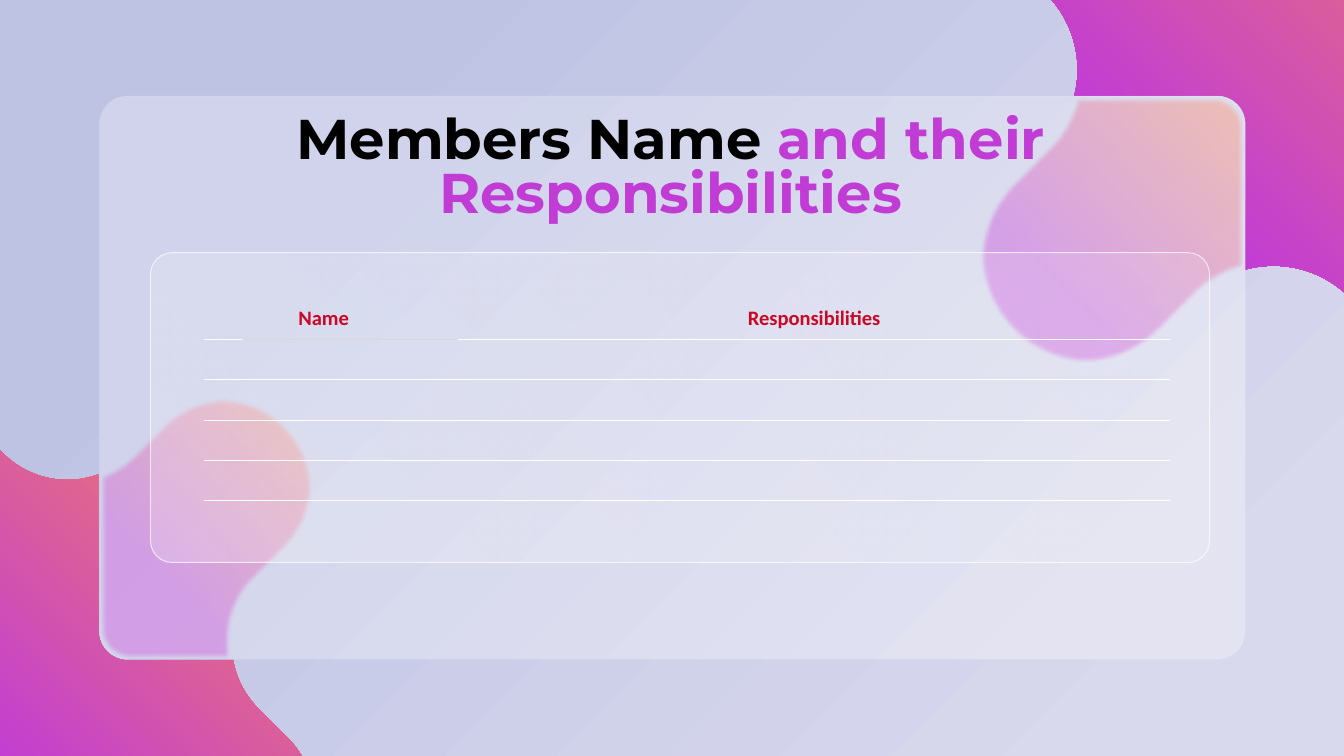
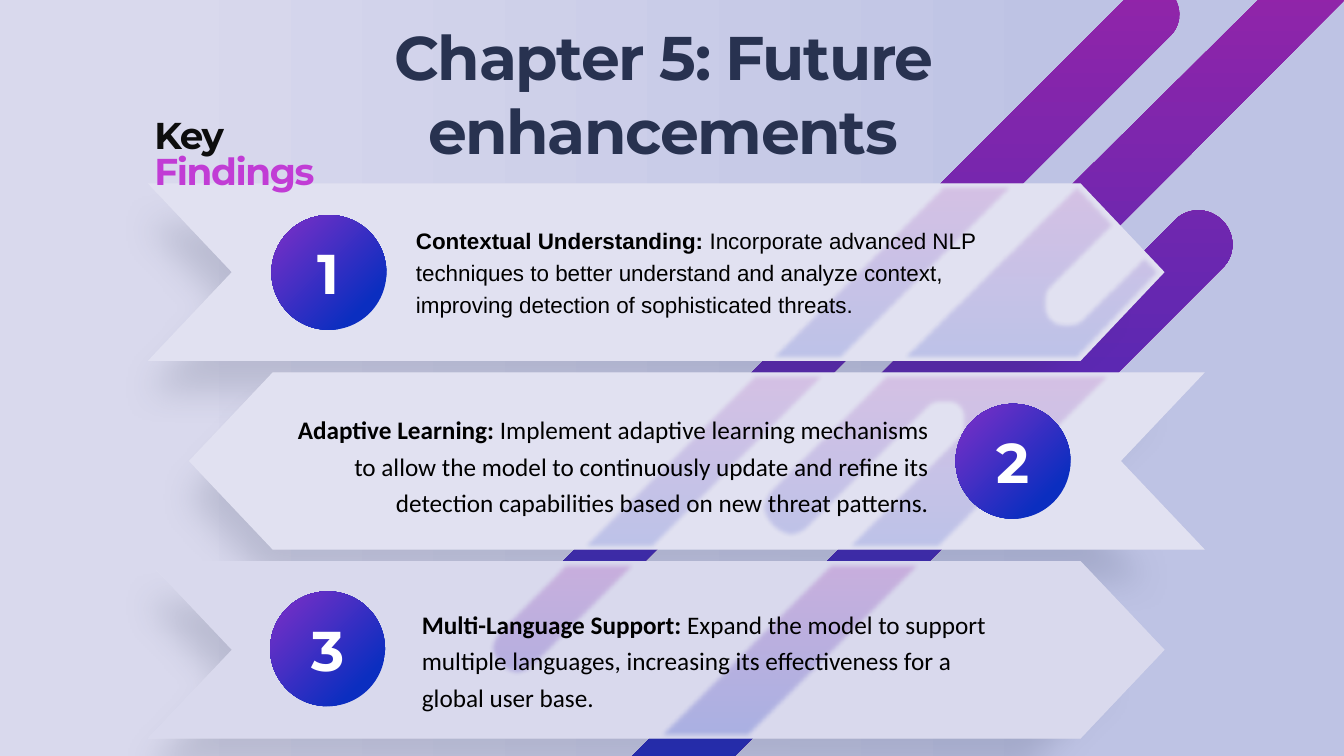
import pptx
import pptx.util
import pptx.enum.shapes
import pptx.enum.text
import pptx.oxml
import pptx.oxml.ns

qn = pptx.oxml.ns.qn
Pt = pptx.util.Pt
SHAPES = pptx.enum.shapes.MSO_SHAPE
ALIGN = pptx.enum.text.PP_ALIGN
MIDDLE = pptx.enum.text.MSO_ANCHOR.MIDDLE
NAMESPACE = pptx.oxml.ns.nsdecls("a")

presentation = pptx.Presentation()
presentation.slide_width = pptx.util.Inches(20)
presentation.slide_height = pptx.util.Inches(11.25)

# Grid: 20 columns by 11.25 rows of square cells
CELL = presentation.slide_width // 20

# Shared colours; gradients map a stop in percent to "hex" or "hex/opacity"
PALE, WHITE, BLACK, NAVY = "D9D9ED", "FFFFFF", "000000", "283250"
BACKDROP = {11: PALE, 80: "BEC3E4"}
BLOB = {30: "C13CD5", 100: "F98657"}
BLOB_GLASS = {30: "C13CD5/56", 100: "F98657/56"}
STRIPE = {0: "9724A8", 100: "0B2EC0"}
STRIPE_GLASS = {0: "9724A8/23", 100: "0B2EC0/23"}
BADGE = {11: "702FC6", 80: "0B2EC0"}
FROM_BOTTOM_LEFT, FROM_TOP_LEFT = (0, 100, 100, 0), (0, 0, 100, 100)

SOFT_EDGE = f'<a:softEdge rad="{Pt(5)}"/>'
BAND_SHADOW = (
    f'<a:outerShdw blurRad="{Pt(36)}" dist="{Pt(79)}" dir="{147 * 60000}" sx="94000" sy="94000" '
    f'algn="tr" rotWithShape="0"><a:srgbClr val="{NAVY}"><a:alpha val="17000"/></a:srgbClr></a:outerShdw>')


def paint(parent, colours, angle=0, focus=None):
    """Give a properties element a solid (string) or gradient (dict) fill."""
    for tag in ("a:solidFill", "a:gradFill", "a:noFill"):
        for old in parent.findall(qn(tag)):
            parent.remove(old)
    stops = {0: colours} if isinstance(colours, str) else colours
    marks = []
    for position, colour in stops.items():
        value, _, opacity = colour.partition("/")
        alpha = f'<a:alpha val="{int(opacity) * 1000}"/>' if opacity else ""
        marks.append((position, f'<a:srgbClr val="{value}">{alpha}</a:srgbClr>'))
    if isinstance(colours, str):
        fill = f"<a:solidFill {NAMESPACE}>{marks[0][1]}</a:solidFill>"
    else:
        listed = "".join(f'<a:gs pos="{position * 1000}">{mark}</a:gs>' for position, mark in marks)
        way = f'<a:lin ang="{angle * 60000}" scaled="0"/>'
        if focus:
            left, top, right, bottom = (share * 1000 for share in focus)
            way = (f'<a:path path="circle"><a:fillToRect l="{left}" t="{top}" '
                   f'r="{right}" b="{bottom}"/></a:path>')
        fill = f'<a:gradFill {NAMESPACE} rotWithShape="1"><a:gsLst>{listed}</a:gsLst>{way}</a:gradFill>'
    parent.insert(2 if parent.tag == qn("p:spPr") else 0, pptx.oxml.parse_xml(fill))


def draw_outline(slide, contours, colours, angle=0, focus=None, effect=""):
    """Draw closed contours; a step is a line end (2 numbers) or a curve (6)."""
    builder = slide.shapes.build_freeform(*(n * 1000 for n in contours[0][0]), scale=CELL / 1000)
    reached = []
    for index, contour in enumerate(contours):
        if index:
            builder.move_to(*(n * 1000 for n in contour[0]))
        builder.add_line_segments([(step[-2] * 1000, step[-1] * 1000) for step in contour[1:]], close=True)
        for before, step in zip(contour[:1] + contour, contour):
            reached.append(step[-2:])
            if len(step) == 6:
                reached.append(tuple((before[axis - 2] + 3 * step[axis] + 3 * step[axis + 2] + step[axis + 4]) / 8
                                     for axis in (0, 1)))
    shape = builder.convert_to_shape()

    # Fit the frame to the curves and bend the segments that are curves
    left, top = (min(point[axis] for point in reached) for axis in (0, 1))
    width, height = (max(point[axis] for point in reached) - low for axis, low in ((0, left), (1, top)))
    shape.left, shape.top, shape.width, shape.height = (int(n * CELL) for n in (left, top, width, height))
    outline = shape.element.find(".//" + qn("a:path"))
    outline.set("w", str(round(width * 1000)))
    outline.set("h", str(round(height * 1000)))
    for old in list(outline):
        outline.remove(old)
    for contour in contours:
        for index, step in enumerate(contour):
            tag = "moveTo" if index == 0 else "lnTo" if len(step) == 2 else "cubicBezTo"
            points = "".join(f'<a:pt x="{round((x - left) * 1000)}" y="{round((y - top) * 1000)}"/>'
                             for x, y in zip(step[::2], step[1::2]))
            outline.append(pptx.oxml.parse_xml(f"<a:{tag} {NAMESPACE}>{points}</a:{tag}>"))
        outline.append(pptx.oxml.parse_xml(f"<a:close {NAMESPACE}/>"))
    shape.line.fill.background()
    paint(shape.element.spPr, colours, angle, focus)
    shape.element.spPr.append(pptx.oxml.parse_xml(f"<a:effectLst {NAMESPACE}>{effect}</a:effectLst>"))
    return shape


# Slides and their backgrounds
blank = presentation.slide_layouts[6]
members, findings = (presentation.slides.add_slide(blank) for _ in range(2))
for slide, angle in ((members, 225), (findings, 0)):
    slide.background.fill.solid()
    paint(slide.element.find(".//" + qn("p:bgPr")), BACKDROP, angle)

# Members: corner blobs, one quarter turned four times
quarter = [(-1.13, -3.38), (-0.5, -2.76, 0.5, -2.76, 1.13, -3.38), (1.66, -3.91),
           (2.28, -4.53, 3.28, -4.53, 3.91, -3.91), (4.53, -3.28, 4.53, -2.28, 3.91, -1.66)]
for center_x, center_y, scale in ((18.95, 1.04, 1), (1, 9.59, 0.84)):
    contour = []
    for turn in range(4):
        for step in quarter:
            pairs = list(zip(step[::2], step[1::2]))
            for _ in range(turn):
                pairs = [(-y, x) for x, y in pairs]
            contour.append(tuple(n for x, y in pairs for n in (center_x + x * scale, center_y + y * scale)))
    draw_outline(members, [contour], BLOB, focus=FROM_BOTTOM_LEFT)

# Members: frosted card with the blobs behind it, then the table panel
panes = [
    [(3.33, 5.91), (3.67, 5.91, 4.02, 6.04, 4.28, 6.3), (4.8, 6.82, 4.8, 7.67, 4.28, 8.19),
     (3.83, 8.64), (3.57, 8.9, 3.44, 9.24, 3.44, 9.58), (3.46, 9.82), (1.89, 9.82),
     (1.66, 9.82, 1.48, 9.63, 1.48, 9.41), (1.48, 7.05), (1.5, 7.04),
     (1.66, 6.97, 1.81, 6.88, 1.94, 6.75), (2.39, 6.3), (2.65, 6.04, 2.99, 5.91, 3.33, 5.91)],
    [(15.99, 1.43), (18.11, 1.43), (18.34, 1.43, 18.52, 1.62, 18.52, 1.84), (18.52, 4),
     (18.49, 4.01), (18.25, 4.08, 18.01, 4.22, 17.82, 4.41), (17.29, 4.94),
     (16.67, 5.57, 15.66, 5.57, 15.04, 4.94), (14.42, 4.32, 14.42, 3.32, 15.04, 2.69),
     (15.57, 2.16), (15.76, 1.97, 15.9, 1.74, 15.97, 1.49)],
]
card_box, panel_box = (1.48, 1.43, 17.05, 8.38), (2.24, 3.76, 15.76, 4.61)
card_parts = []
for box, corner, colours, angle, line, width in (
        (card_box, 0.05, BACKDROP, 225, None, 0),
        (card_box, 0.05, WHITE + "/28", 0, WHITE + "/5", 1.5),
        (panel_box, 0.07, {0: WHITE + "/11", 100: WHITE + "/21"}, 45, WHITE + "/70", 1)):
    shape = members.shapes.add_shape(SHAPES.ROUNDED_RECTANGLE, *(int(n * CELL) for n in box))
    shape.adjustments[0] = corner
    shape.shadow.inherit = False
    paint(shape.element.spPr, colours, angle)
    if line:
        shape.line.width = Pt(width)
        paint(shape.element.spPr.find(qn("a:ln")), line)
    else:
        shape.line.fill.background()
    if box is panel_box:
        shape.element.spPr.find(qn("a:xfrm")).set("flipH", "1")
        continue
    card_parts.append(shape)
    if line:
        members.shapes.add_group_shape(card_parts)
    else:
        card_parts += [draw_outline(members, [pane], BLOB_GLASS, focus=FROM_BOTTOM_LEFT, effect=SOFT_EDGE)
                       for pane in panes]

# Members: table
column_widths, row_heights = (0.58, 3.2, 10.59), (0.77, 0.6, 0.6, 0.6, 0.6)
frame = members.shapes.add_table(len(row_heights), len(column_widths), int(3.04 * CELL), int(4.25 * CELL),
                                 int(sum(column_widths) * CELL), int(sum(row_heights) * CELL))
table = frame.table
table.first_row = table.horz_banding = False
table._tbl.tblPr.find(qn("a:tableStyleId")).text = "{2D5ABB26-0587-4C30-8999-92F81FD0307C}"
for column, width in zip(table.columns, column_widths):
    column.width = int(width * CELL)
for row, height in zip(table.rows, row_heights):
    row.height = int(height * CELL)
table.cell(0, 0).merge(table.cell(0, 1))
for column, text, insets in ((0, "Name ", (0, 0.08, 0.16, 0.08)),
                             (2, "Responsibilities", (0.24, 0.12, 0.24, 0.12))):
    cell = table.cell(0, column)
    cell.vertical_anchor = MIDDLE
    cell.margin_left, cell.margin_top, cell.margin_right, cell.margin_bottom = (int(n * CELL) for n in insets)
    paragraph = cell.text_frame.paragraphs[0]
    paragraph.alignment, paragraph.line_spacing = ALIGN.CENTER, 1.5
    run = paragraph.add_run()
    run.text = text
    run.font.name, run.font.size, run.font.bold = "Calibri", Pt(22), True
    paint(run._r.get_or_add_rPr(), "C80825")
for row in range(len(row_heights)):
    for column in range(len(column_widths)):
        cell = table.cell(row, column)
        cell.fill.background()
        borders = [("lnB", WHITE, 0.25)]
        if (row, column) == (1, 1):
            borders.append(("lnT", "D9D9D9", 1))
        for side, colour, width in borders:
            border = pptx.oxml.parse_xml(f'<a:{side} {NAMESPACE} w="{Pt(width)}"/>')
            paint(border, colour)
            cell._tc.get_or_add_tcPr().insert(0, border)

# Findings: diagonal stripes
stripes = [
    [(17.11, -0.22), (17.22, -0.22, 17.32, -0.19, 17.41, -0.11), (17.59, 0.05, 17.6, 0.34, 17.43, 0.52),
     (8.01, 9.94), (7.84, 10.11, 7.57, 10.11, 7.4, 9.94), (7.23, 9.77, 7.23, 9.5, 7.4, 9.33),
     (16.82, -0.09), (16.9, -0.18, 17, -0.22, 17.11, -0.22)],
    [(19.73, -0.81), (19.85, -0.81, 19.96, -0.76, 20.05, -0.68), (20.23, -0.5, 20.23, -0.21, 20.05, -0.04),
     (15.69, 4.33), (15.59, 4.43, 15.59, 4.59, 15.69, 4.7), (15.79, 4.8, 15.96, 4.8, 16.06, 4.7),
     (17.48, 3.28), (17.67, 3.08, 17.99, 3.08, 18.19, 3.28), (18.39, 3.48, 18.39, 3.8, 18.19, 3.99),
     (8.38, 13.8), (8.17, 14.01, 7.83, 14.01, 7.62, 13.8), (7.41, 13.59, 7.41, 13.25, 7.62, 13.04),
     (14.21, 6.45), (14.3, 6.35, 14.3, 6.2, 14.21, 6.1), (14.12, 6.01, 13.96, 6.01, 13.87, 6.1),
     (12.1, 7.87), (11.92, 8.06, 11.62, 8.06, 11.44, 7.87), (11.26, 7.69, 11.26, 7.4, 11.44, 7.22),
     (19.41, -0.68), (19.5, -0.76, 19.62, -0.81, 19.73, -0.81)],
]
draw_outline(findings, stripes, STRIPE, 90)

# Findings: arrow bands, each with the stripes seen through it
band_glass = [
    [[(15.97, 2.73), (16.08, 2.73), (16.66, 3.35), (15.69, 4.32),
      (15.59, 4.42, 15.59, 4.59, 15.69, 4.69), (15.79, 4.8, 15.96, 4.8, 16.06, 4.69),
      (17.03, 3.73), (17.33, 4.05), (16.08, 5.37), (13.3, 5.37)],
     [(13.99, 2.73), (15.21, 2.73), (12.57, 5.37), (11.35, 5.37)]],
    [[(13.13, 5.54), (16.64, 5.54), (14.01, 8.18), (12.48, 8.18), (14.21, 6.45),
      (14.3, 6.35, 14.3, 6.2, 14.21, 6.1), (14.12, 6.01, 13.96, 6.01, 13.87, 6.1), (12.1, 7.87),
      (11.92, 8.06, 11.62, 8.06, 11.44, 7.87), (11.26, 7.69, 11.26, 7.4, 11.44, 7.22)],
     [(11.18, 5.54), (12.4, 5.54), (9.77, 8.18), (8.55, 8.18)]],
    [[(12.3, 8.35), (13.83, 8.35), (11.19, 10.99), (9.67, 10.99)],
     [(8.37, 8.35), (9.6, 8.35), (8.01, 9.94), (7.84, 10.11, 7.57, 10.11, 7.4, 9.94),
      (7.23, 9.77, 7.23, 9.5, 7.4, 9.33)]],
]
for index, glass in enumerate(band_glass):
    top, half = 2.73 + 2.81 * index, 1.32
    tail, tip = (17.93, 2.81) if index == 1 else (2.2, 17.33)
    notch = -1.25 if index == 1 else 1.25
    band = [(tail, top), (tip - notch, top), (tip, top + half), (tip - notch, top + 2 * half),
            (tail, top + 2 * half), (tail + notch, top + half)]
    layers = [([band], PALE, BAND_SHADOW), (glass, STRIPE_GLASS, SOFT_EDGE)]
    layers.insert(0 if index == 2 else 2, ([band], WHITE + "/23", ""))
    parts = [draw_outline(findings, contours, colours, 90, effect=effect)
             for contours, colours, effect in layers]
    findings.shapes.add_group_shape(parts)

# Findings: numbered badges
for number, left, top in (("2", 14.22, 6.01), ("1", 4.04, 3.2), ("3", 4.02, 8.8)):
    badge = findings.shapes.add_shape(SHAPES.OVAL, *(int(n * CELL) for n in (left, top, 1.71, 1.71)))
    badge.shadow.inherit = False
    badge.line.fill.background()
    paint(badge.element.spPr, BADGE, focus=FROM_TOP_LEFT)
    badge.text_frame.vertical_anchor = MIDDLE
    paragraph = badge.text_frame.paragraphs[0]
    paragraph.alignment = ALIGN.CENTER
    run = paragraph.add_run()
    run.text = number
    run.font.name, run.font.size, run.font.bold = "Montserrat", Pt(60), True
    paint(run._r.get_or_add_rPr(), WHITE)

# Text boxes: slide, box, alignment, line spacing, font, size, tracking, runs
text_boxes = [
    (members, (2.55, 1.69, 14.86, 0.93), ALIGN.CENTER, 0.8, "Montserrat", 60, 0,
     [("Members Name ", True, BLACK, 0),
      ("and their Responsibilities", True, {11: "C13CD5", 100: "1C46F2"}, 225)]),
    (findings, (6.09, 3.25, 8.75, 1.51), ALIGN.LEFT, 1.2, "Arial", 24, 0,
     [("Contextual Understanding: ", True, BLACK, 0),
      ("Incorporate advanced NLP techniques to better understand and analyze context, "
       "improving detection of sophisticated threats.", False, BLACK, 0)]),
    (findings, (4.07, 6.03, 9.84, 1.7), ALIGN.RIGHT, 1.2, "Calibri", 27, 0,
     [("Adaptive Learning: ", True, BLACK, 0),
      ("Implement adaptive learning mechanisms to allow the model to continuously update and refine "
       "its detection capabilities based on new threat patterns.", False, BLACK, 0)]),
    (findings, (6.18, 8.93, 9.04, 1.7), ALIGN.LEFT, 1.2, "Calibri", 27, 0,
     [("Multi-Language Support: ", True, BLACK, 0),
      ("Expand the model to support multiple languages, increasing its effectiveness "
       "for a global user base.", False, BLACK, 0)]),
    (findings, (2.41, 0.23, 14.92, 1.21), ALIGN.CENTER, 1.0, "Montserrat", 66, -1.5,
     [("Chapter 5: Future enhancements", True, NAVY, 0)]),
    (findings, (2.2, 1.75, 3.29, 0.65), ALIGN.LEFT, 0.8, "Montserrat", 40, -1.5,
     [("Key ", True, "0D0D0D", 0), ("Findings", True, {11: "C13CD5", 80: "1C46F2"}, 0)]),
]
for slide, box, alignment, spacing, font, size, tracking, runs in text_boxes:
    text_frame = slide.shapes.add_textbox(*(int(n * CELL) for n in box)).text_frame
    text_frame.word_wrap = True
    text_frame.auto_size = pptx.enum.text.MSO_AUTO_SIZE.SHAPE_TO_FIT_TEXT
    paragraph = text_frame.paragraphs[0]
    paragraph.alignment, paragraph.line_spacing = alignment, spacing
    for text, bold, colours, angle in runs:
        run = paragraph.add_run()
        run.text = text
        run.font.name, run.font.size, run.font.bold = font, Pt(size), bold
        properties = run._r.get_or_add_rPr()
        paint(properties, colours, angle)
        if tracking:
            properties.set("spc", str(int(tracking * 100)))

presentation.save("out.pptx")
